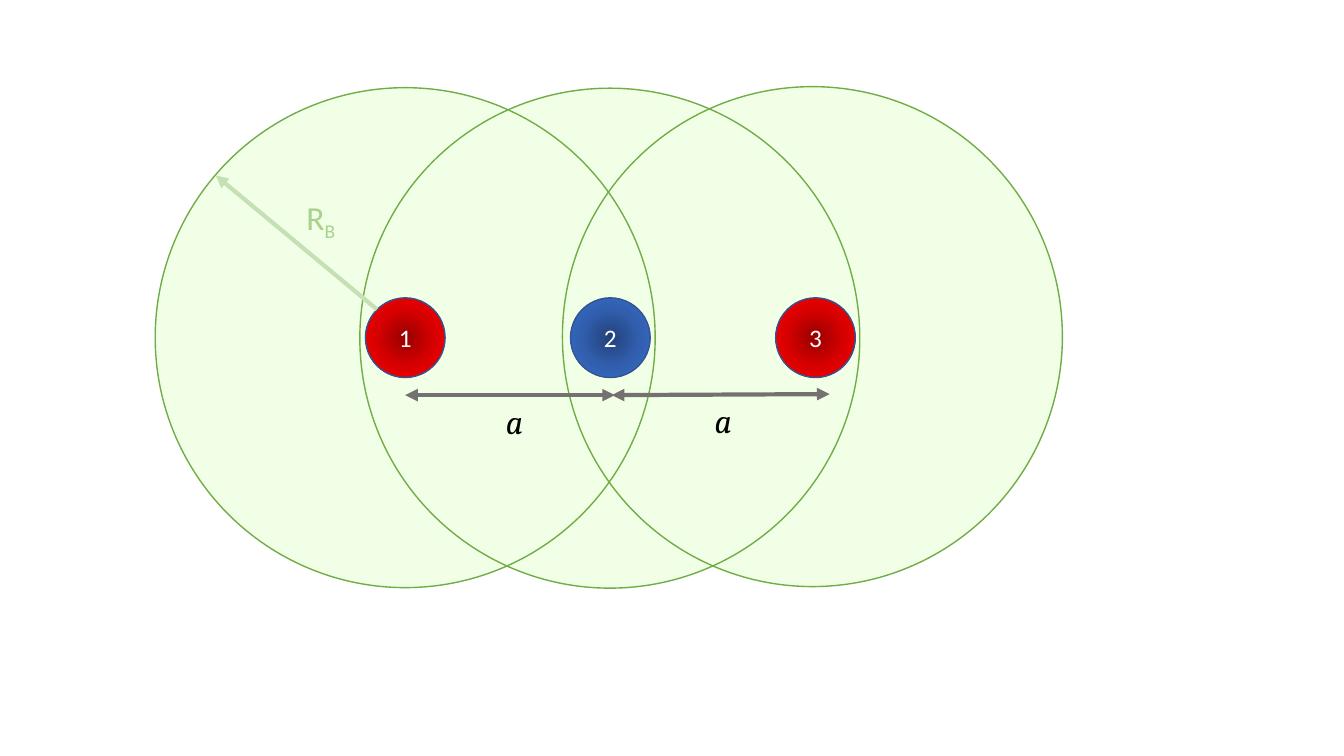
from dataclasses import dataclass

from lxml.etree import SubElement
from pptx import Presentation
from pptx.dml.color import RGBColor
from pptx.enum.shapes import MSO_CONNECTOR as Connector, MSO_SHAPE as Shape
from pptx.enum.text import MSO_ANCHOR as Anchor, MSO_AUTO_SIZE as AutoSize, PP_ALIGN as Align
from pptx.oxml.ns import qn
from pptx.util import Inches, Pt


@dataclass(frozen=True)
class Theme:
    body_font: str = "Calibri"
    math_font: str = "Cambria"
    atom_size: int = 18
    label_size: int = 24
    thin: int = 1
    thick: int = 3
    white: str = "FFFFFF"
    black: str = "000000"
    zone_fill: str = "F2FFE7"
    zone_line: str = "70AD47"
    atom_line: str = "325491"
    red: tuple = ("970000", "D70000", "FF0000")
    blue: tuple = ("23427A", "315EAD", "3A6FCE")
    distance: str = "767171"
    radius_line: str = "C5E0B4"
    radius_text: str = "A9D18E"


THEME = Theme()
COLUMNS, ROWS = 133.33, 75
CELL = Inches(0.1)
ZONE_RADIUS, ATOM_RADIUS = 24.8, 3.95
ZONE_CENTRES = ((40.2, 33.5), (60.5, 33.55), (80.6, 33.4))
ATOM_START, ATOM_GAP, ATOM_ROW = 40.2, 20.35, 33.5


def cells(*counts):
    """Turn counts of grid cells into lengths."""
    return [round(count * CELL) for count in counts]


def rgb(code):
    return RGBColor.from_string(code)


def add_circle(page, centre, radius, line=None):
    """Add an unfilled circle, outlined only if a line colour is given."""
    left, top = (middle - radius for middle in centre)
    circle = page.shapes.add_shape(Shape.OVAL, *cells(left, top, 2 * radius, 2 * radius))
    circle.shadow.inherit = False
    circle.fill.background()
    if line:
        circle.line.color.rgb = rgb(line)
        circle.line.width = Pt(THEME.thin)
    else:
        circle.line.fill.background()
    return circle


def add_zones(page):
    """Fill all zones first, so that every outline stays visible."""
    for centre in ZONE_CENTRES:
        disc = add_circle(page, centre, ZONE_RADIUS)
        disc.fill.solid()
        disc.fill.fore_color.rgb = rgb(THEME.zone_fill)
    for centre in ZONE_CENTRES:
        add_circle(page, centre, ZONE_RADIUS, THEME.zone_line)


def set_radial_fill(shape, colours):
    """Spread the colours evenly from the centre outwards."""
    shape.fill.gradient()
    gradient = shape.element.spPr.find(qn("a:gradFill"))
    for child in list(gradient):
        gradient.remove(child)
    stops = SubElement(gradient, qn("a:gsLst"))
    for index, colour in enumerate(colours):
        position = 100000 * index // (len(colours) - 1)
        stop = SubElement(stops, qn("a:gs"), pos=str(position))
        SubElement(stop, qn("a:srgbClr"), val=colour)
    radial = SubElement(gradient, qn("a:path"), path="circle")
    SubElement(radial, qn("a:fillToRect"), dict.fromkeys("ltrb", "50000"))


def style_span(span, font, size, colour, italic=False):
    span.font.name = font
    span.font.size = Pt(size)
    span.font.color.rgb = rgb(colour)
    span.font.italic = italic


def add_atom(page, number, colours):
    centre = (ATOM_START + (number - 1) * ATOM_GAP, ATOM_ROW)
    atom = add_circle(page, centre, ATOM_RADIUS, THEME.atom_line)
    set_radial_fill(atom, colours)
    frame = atom.text_frame
    frame.text = str(number)
    frame.vertical_anchor = Anchor.MIDDLE
    para = frame.paragraphs[0]
    para.alignment = Align.CENTER
    style_span(para.runs[0], THEME.body_font, THEME.atom_size, THEME.white)


def add_arrow(page, start, end, colour, both_ends=False):
    arrow = page.shapes.add_connector(Connector.STRAIGHT, *cells(*start, *end))
    arrow.line.color.rgb = rgb(colour)
    arrow.line.width = Pt(THEME.thick)
    line = arrow.line._get_or_add_ln()
    for tip in ("a:headEnd", "a:tailEnd") if both_ends else ("a:tailEnd",):
        SubElement(line, qn(tip), type="triangle")
    SubElement(arrow._element.spPr, qn("a:effectLst"))


def add_label(page, area, text, font, colour, italic=False, subscript="", wrap=True):
    box = page.shapes.add_textbox(*cells(*area))
    frame = box.text_frame
    frame.text = text
    frame.word_wrap = wrap
    frame.auto_size = AutoSize.SHAPE_TO_FIT_TEXT
    para = frame.paragraphs[0]
    if subscript:
        span = para.add_run()
        span.text = subscript
        span.font._element.set("baseline", "-25000")
    for span in para.runs:
        style_span(span, font, THEME.label_size, colour, italic)


def add_distance(page, start, end, label_left, label_top):
    add_arrow(page, start, end, THEME.distance, both_ends=True)
    add_label(page, (label_left, label_top, 3.3, 5), "a",
              THEME.math_font, THEME.black, italic=True)


def main():
    deck = Presentation()
    deck.slide_width, deck.slide_height = cells(COLUMNS, ROWS)
    page = deck.slides.add_slide(deck.slide_layouts[6])

    add_zones(page)
    for number, colours in enumerate((THEME.red, THEME.blue, THEME.red), start=1):
        add_atom(page, number, colours)
    add_distance(page, (40.2, 39.2), (61, 39.2), 49.2, 39.3)
    add_distance(page, (60.7, 39.2), (82.3, 39.1), 69.9, 39.2)
    add_arrow(page, (37.4, 30.7), (21.4, 17.4), THEME.radius_line)
    add_label(page, (29.4, 19, 5.1, 5), "R", THEME.body_font, THEME.radius_text,
              subscript="B", wrap=False)

    deck.save("out.pptx")


if __name__ == "__main__":
    main()
